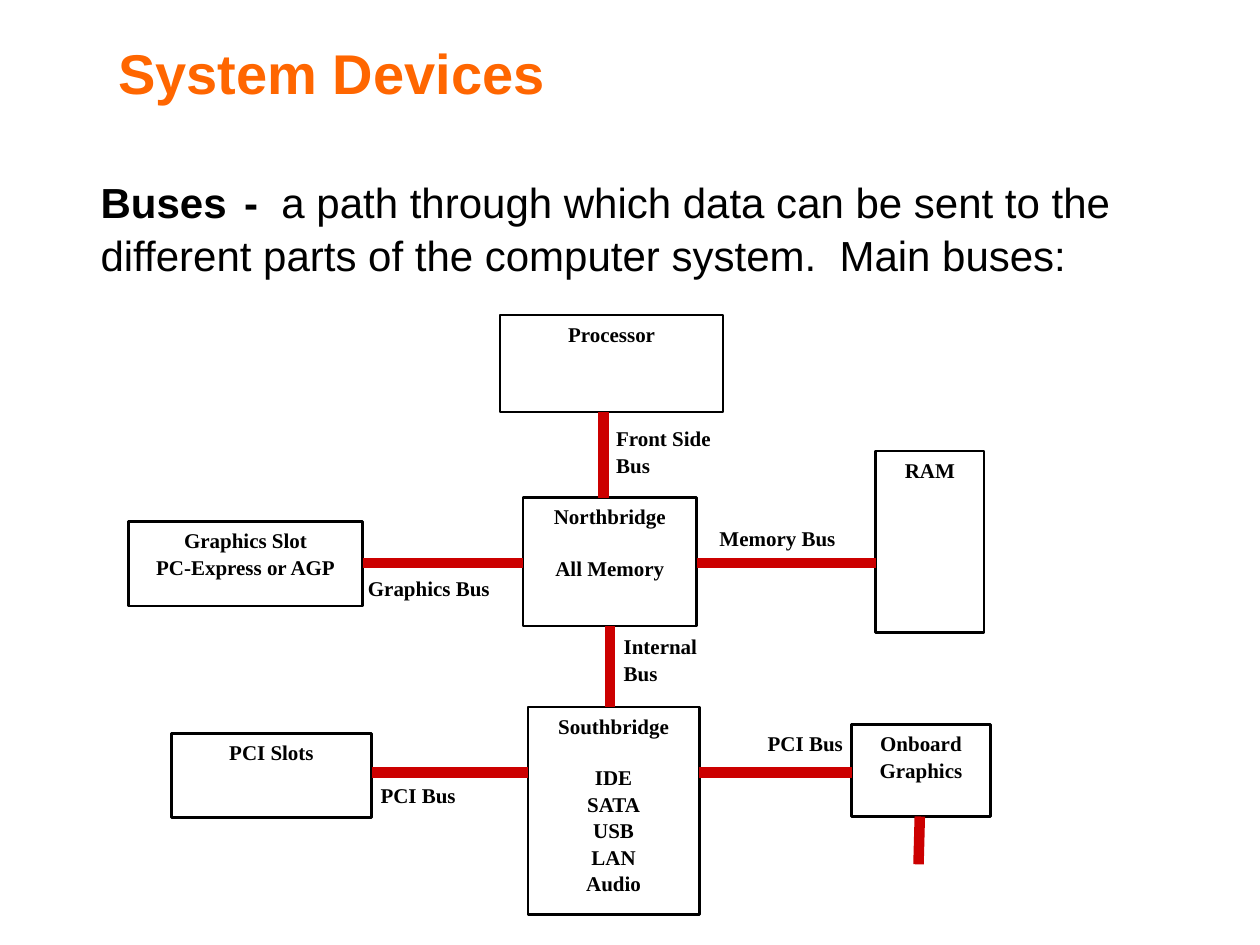
from dataclasses import dataclass

from lxml.etree import SubElement
from pptx import Presentation
from pptx.dml.color import RGBColor
from pptx.enum.shapes import MSO_CONNECTOR, MSO_SHAPE
from pptx.enum.text import MSO_ANCHOR, PP_ALIGN
from pptx.oxml.ns import qn
from pptx.util import Inches, Pt


@dataclass(frozen=True)
class Theme:
    heading: RGBColor = RGBColor(0xFF, 0x66, 0x00)
    ink: RGBColor = RGBColor(0, 0, 0)
    bus: RGBColor = RGBColor(0xCC, 0, 0)
    heading_font: str = "Arial"
    diagram_font: str = "Times New Roman"
    heading_size: int = 32
    body_size: int = 24
    gap_size: int = 18
    diagram_size: int = 12
    line_spacing: float = 1.05
    outline_width: float = 1.5
    bus_width: int = 6


@dataclass(frozen=True)
class Box:
    left: float
    top: float
    width: float
    height: float

    def lengths(self):
        return [Inches(value) for value in (self.left, self.top, self.width, self.height)]

    def inside(self, left, top, width, height):
        return Box(self.left + left, self.top + top, width, height)


THEME = Theme()

COMPONENTS = {
    "processor": ((2.97, 0, 1.77, 0.77), [["Processor"]]),
    "ram": ((5.95, 1.08, 0.86, 1.44), [["RAM"]]),
    "northbridge": ((3.15, 1.45, 1.38, 1.02), [["Northbridge"], ["All Memory"]]),
    "southbridge": ((3.19, 3.11, 1.36, 1.65),
                    [["Southbridge"], ["IDE", "SATA", "USB", "LAN", "Audio"]]),
    "graphics slot": ((0.02, 1.64, 1.86, 0.67), [["Graphics Slot", "PC-Express or AGP"]]),
    "pci slots": ((0.36, 3.32, 1.59, 0.67), [["PCI Slots"]]),
    "onboard graphics": ((5.76, 3.25, 1.1, 0.73), [["Onboard", "Graphics"]]),
}
HORIZONTAL_BUSES = [
    ("graphics slot", "northbridge", 1.97),
    ("northbridge", "ram", 1.97),
    ("pci slots", "southbridge", 3.63),
    ("southbridge", "onboard graphics", 3.63),
]
VERTICAL_BUSES = [
    ("processor", "northbridge", 3.79),
    ("northbridge", "southbridge", 3.84),
]
BUS_LABELS = [
    ("Front Side Bus", (3.85, 0.83, 0.95, 0.61), PP_ALIGN.LEFT),
    ("Memory Bus", (4.67, 1.62, 1.22, 0.28), PP_ALIGN.LEFT),
    ("Graphics Bus", (1.88, 2.02, 1.22, 0.28), PP_ALIGN.LEFT),
    ("Internal Bus", (3.91, 2.48, 0.95, 0.61), PP_ALIGN.LEFT),
    ("PCI Bus", (1.98, 3.66, 1.11, 0.28), PP_ALIGN.LEFT),
    ("PCI Bus", (4.62, 3.25, 1.11, 0.28), PP_ALIGN.RIGHT),
]


def add_run(paragraph, text, font, size, color=THEME.ink, bold=True):
    run = paragraph.add_run()
    run.text = text
    run.font.name = font
    run.font.size = Pt(size)
    run.font.color.rgb = color
    run.font.bold = bold


def prepare_frame(shape, horizontal, vertical, anchor=MSO_ANCHOR.TOP):
    frame = shape.text_frame
    frame.word_wrap = True
    frame.vertical_anchor = anchor
    frame.margin_left = frame.margin_right = Inches(horizontal)
    frame.margin_top = frame.margin_bottom = Inches(vertical)
    return frame


def add_title(slide, box):
    shape = slide.shapes.add_textbox(*box.lengths())
    frame = prepare_frame(shape, 0.1, 0.05, MSO_ANCHOR.MIDDLE)
    add_run(frame.paragraphs[0], "System Devices", THEME.heading_font,
            THEME.heading_size, THEME.heading)


def add_definition(slide, box):
    frame = prepare_frame(slide.shapes.add_textbox(*box.lengths()), 0.1, 0.05)
    paragraph = frame.paragraphs[0]
    paragraph.line_spacing = THEME.line_spacing
    for text, size, bold in (
        ("Buses", THEME.body_size, True),
        ("  ", THEME.gap_size, True),
        ("-  ", THEME.body_size, True),
        ("a path through which data can be sent to the different parts "
         "of the computer system.  Main buses:", THEME.body_size, False),
    ):
        add_run(paragraph, text, THEME.heading_font, size, bold=bold)


def write_groups(shape, groups, alignment):
    frame = prepare_frame(shape, 0.04, 0.04)
    paragraph = None
    for group in groups:
        for index, text in enumerate(group):
            first = paragraph is None
            paragraph = frame.paragraphs[0] if first else frame.add_paragraph()
            paragraph.alignment = alignment
            paragraph.line_spacing = THEME.line_spacing
            if index == 0 and not first:
                paragraph.space_before = Pt(THEME.diagram_size * 1.2)
            add_run(paragraph, text, THEME.diagram_font, THEME.diagram_size)


def add_component(slide, box, groups):
    shape = slide.shapes.add_shape(MSO_SHAPE.RECTANGLE, *box.lengths())
    shape.shadow.inherit = False
    shape.fill.background()
    shape.line.color.rgb = THEME.ink
    shape.line.width = Pt(THEME.outline_width)
    write_groups(shape, groups, PP_ALIGN.CENTER)


def add_bus(slide, start, end):
    points = [Inches(value) for value in (*start, *end)]
    connector = slide.shapes.add_connector(MSO_CONNECTOR.STRAIGHT, *points)
    connector.line.color.rgb = THEME.bus
    connector.line.width = Pt(THEME.bus_width)
    SubElement(connector._element.spPr, qn("a:effectLst"))


def add_diagram(slide, area):
    boxes = {}
    for name, (place, groups) in COMPONENTS.items():
        boxes[name] = area.inside(*place)
        add_component(slide, boxes[name], groups)
    for source, target, offset in VERTICAL_BUSES:
        upper, lower = boxes[source], boxes[target]
        x = area.left + offset
        add_bus(slide, (x, upper.top + upper.height), (x, lower.top))
    for source, target, offset in HORIZONTAL_BUSES:
        near, far = boxes[source], boxes[target]
        y = area.top + offset
        add_bus(slide, (near.left + near.width, y), (far.left, y))
    onboard = boxes["onboard graphics"]
    bottom = onboard.top + onboard.height
    add_bus(slide, (onboard.left + 0.54, bottom), (onboard.left + 0.53, bottom + 0.38))
    for text, place, alignment in BUS_LABELS:
        label = slide.shapes.add_textbox(*area.inside(*place).lengths())
        write_groups(label, [[text]], alignment)


def main():
    presentation = Presentation()
    presentation.slide_width = Inches(10)
    presentation.slide_height = Inches(7.5)
    slide = presentation.slides.add_slide(presentation.slide_layouts[6])
    add_title(slide, Box(0.84, 0.3, 7.65, 0.55))
    add_definition(slide, Box(0.7, 1.33, 8.28, 0.9))
    add_diagram(slide, Box(1, 2.5, 6.87, 4.77))
    presentation.save("out.pptx")


main()
